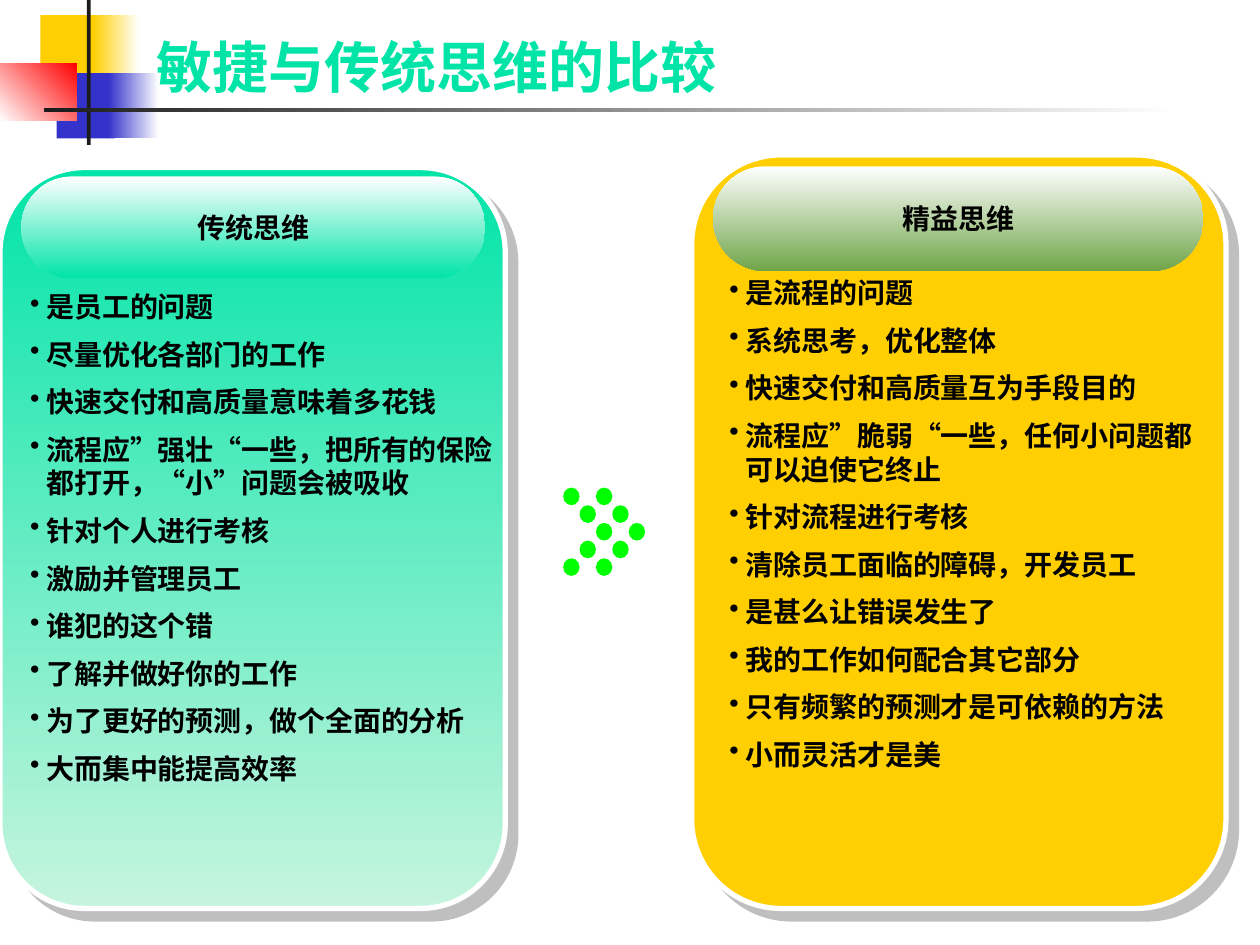
from lxml.etree import SubElement
from pptx import Presentation
from pptx.dml.color import RGBColor
from pptx.enum.shapes import MSO_SHAPE as Shape
from pptx.enum.text import MSO_ANCHOR as Anchor, PP_ALIGN as Align
from pptx.oxml import parse_xml
from pptx.oxml.ns import nsdecls, qn
from pptx.util import Inches, Pt

YELLOW = RGBColor(0xFF, 0xCF, 0x01)
BLUE = RGBColor(0x33, 0x33, 0xCC)
RED = RGBColor(0xFF, 0x00, 0x00)
INK = RGBColor(0x1C, 0x1C, 0x1C)
MINT = RGBColor(0x00, 0xE4, 0xA8)
PALE_MINT = RGBColor(0xC6, 0xF4, 0xDE)
LEAF = RGBColor(0x70, 0xA5, 0x49)
GREEN = RGBColor(0x00, 0xFF, 0x00)
WHITE = RGBColor(0xFF, 0xFF, 0xFF)
BLACK = RGBColor(0x00, 0x00, 0x00)

SHADOW = (f'<a:effectLst {nsdecls("a")}><a:outerShdw blurRad="0" dist="{Pt(8.5)}" dir="2700000" '
          'algn="ctr" rotWithShape="0"><a:srgbClr val="808080"><a:alpha val="50000"/></a:srgbClr>'
          '</a:outerShdw></a:effectLst>')

presentation = Presentation()
presentation.slide_width, presentation.slide_height = Inches(10), Inches(7.5)
slide = presentation.slides.add_slide(presentation.slide_layouts[6])
COLUMN = presentation.slide_width / 100   # one percent of the width
ROW = presentation.slide_height / 100     # one percent of the height


def add_block(kind, left, top, width, height, colours, angle=0):
    """Add a borderless shape; two colours make a gradient, angle clockwise."""
    shape = slide.shapes.add_shape(kind, int(left * COLUMN), int(top * ROW),
                                   int(width * COLUMN), int(height * ROW))
    shape.shadow.inherit = False
    shape.line.fill.background()
    if len(colours) == 1:
        shape.fill.solid()
        shape.fill.fore_color.rgb = colours[0]
    else:
        shape.fill.gradient()
        shape.fill.gradient_angle = (360 - angle) % 360
        for stop, colour in zip(shape.fill.gradient_stops, colours):
            stop.color.rgb = colour
    return shape


def add_bold_run(paragraph, text, size=16, font="Arial", colour=BLACK):
    run = paragraph.add_run()
    run.text = text
    run.font.size, run.font.name, run.font.bold = Pt(size), font, True
    run.font.color.rgb = colour


# Corner ornament and title rule
for *box, colours, angle in [
    (3.2, 1.6, 4.8, 6.93, [YELLOW], 0),
    (7.4, 1.6, 3.6, 6.93, [YELLOW, WHITE], 0),
    (4.5, 7.73, 4.6, 6.93, [BLUE], 0),
    (8.6, 7.73, 4, 6.93, [BLUE, WHITE], 0),
    (0, 6.67, 6.1, 6.13, [WHITE, RED], 315),
    (6.9, 0, 0.3, 15.33, [INK], 0),
    (3.5, 11.47, 90, 0.4, [INK, WHITE], 0),
]:
    add_block(Shape.RECTANGLE, *box, colours, angle)

# Panels: card, heading pill, bullet list
panels = [
    ("传统思维", (0, 17.73, 40.1, 78.4), [MINT, PALE_MINT],
     (1.7, 18.67, 36.8, 10.8), MINT, (1.4, 30, 39.6, 56.93),
     ["是员工的问题", "尽量优化各部门的工作", "快速交付和高质量意味着多花钱",
      "流程应”强壮“一些，把所有的保险都打开，“小”问题会被吸收", "针对个人进行考核",
      "激励并管理员工", "谁犯的这个错", "了解并做好你的工作",
      "为了更好的预测，做个全面的分析", "大而集中能提高效率"]),
    ("精益思维", (54.9, 16.4, 42.4, 79.73), [YELLOW],
     (56.6, 17.6, 38.9, 11.07), LEAF, (56.9, 28.53, 39.4, 56.93),
     ["是流程的问题", "系统思考，优化整体", "快速交付和高质量互为手段目的",
      "流程应”脆弱“一些，任何小问题都可以迫使它终止", "针对流程进行考核",
      "清除员工面临的障碍，开发员工", "是甚么让错误发生了", "我的工作如何配合其它部分",
      "只有频繁的预测才是可依赖的方法", "小而灵活才是美"]),
]
for heading, card_box, card_colours, pill_box, pill_colour, list_box, points in panels:
    card = add_block(Shape.ROUNDED_RECTANGLE, *card_box, card_colours, 90)
    card.adjustments[0] = 0.167
    card.line.color.rgb = WHITE
    card.line.width = Pt(3)
    properties = card._element.spPr
    properties.replace(properties.find(qn("a:effectLst")), parse_xml(SHADOW))

    pill = add_block(Shape.ROUNDED_RECTANGLE, *pill_box, [WHITE, pill_colour], 90)
    pill.adjustments[0] = 0.5
    pill.text_frame.word_wrap = False
    pill.text_frame.vertical_anchor = Anchor.MIDDLE
    paragraph = pill.text_frame.paragraphs[0]
    paragraph.alignment = Align.CENTER
    add_bold_run(paragraph, heading)

    left, top, width, height = list_box
    frame = slide.shapes.add_textbox(int(left * COLUMN), int(top * ROW),
                                     int(width * COLUMN), int(height * ROW)).text_frame
    frame.word_wrap = True
    for index, point in enumerate(points):
        paragraph = frame.add_paragraph() if index else frame.paragraphs[0]
        paragraph.space_before = Pt(8)
        layout = paragraph._p.get_or_add_pPr()
        layout.set("marL", str(Inches(0.13)))
        layout.set("indent", str(-Inches(0.13)))
        SubElement(layout, qn("a:buChar")).set("char", "•")
        add_bold_run(paragraph, point)

# Dotted double chevron between the panels
DOT_WIDTH, DOT_HEIGHT = 1.3, 1.87
for row in range(5):
    for start in (0, 2):
        step = start + 2 - abs(row - 2)
        add_block(Shape.OVAL, 44.7 + step * DOT_WIDTH, 51.6 + row * DOT_HEIGHT,
                  DOT_WIDTH, DOT_HEIGHT, [GREEN])

# Title
title = slide.shapes.add_textbox(int(11.4 * COLUMN), int(2.8 * ROW),
                                 int(75.6 * COLUMN), int(8.4 * ROW))
title.text_frame.word_wrap = True
add_bold_run(title.text_frame.paragraphs[0], "敏捷与传统思维的比较", 32, "Noto Sans CJK KR", MINT)

presentation.save("out.pptx")
